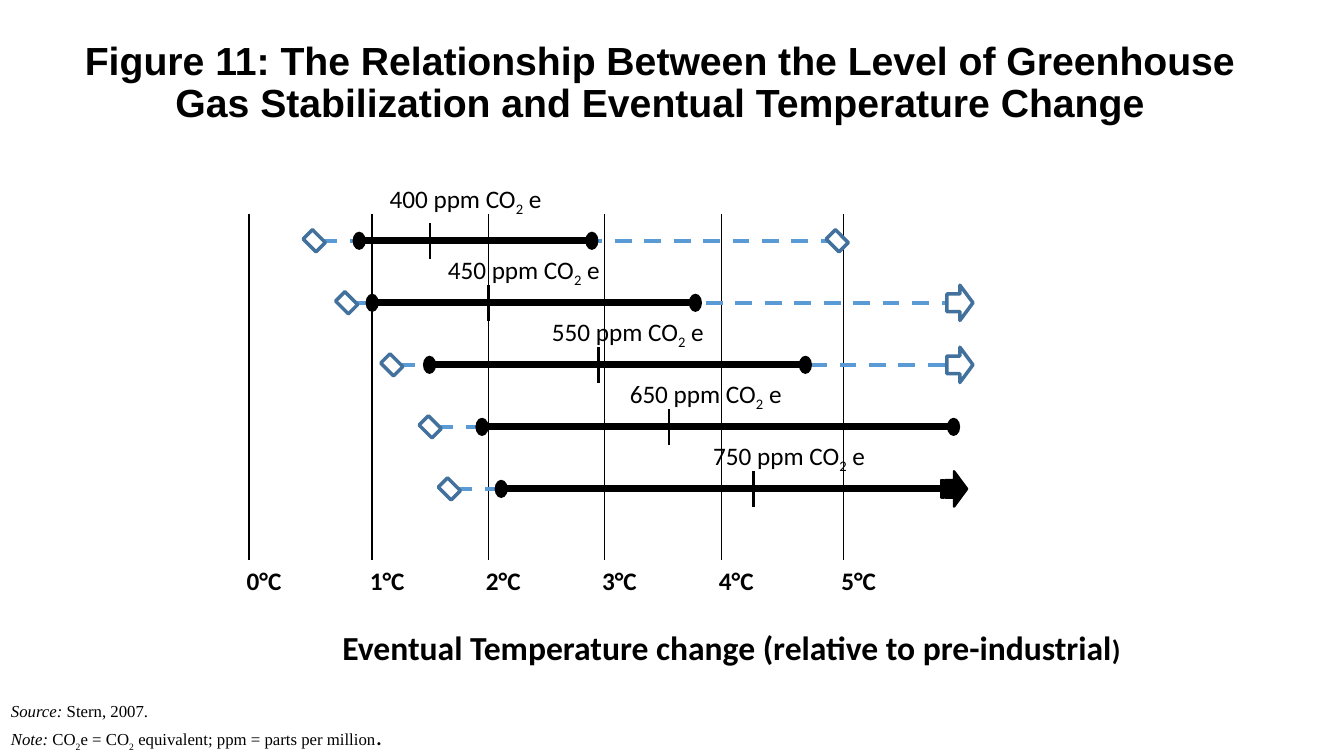
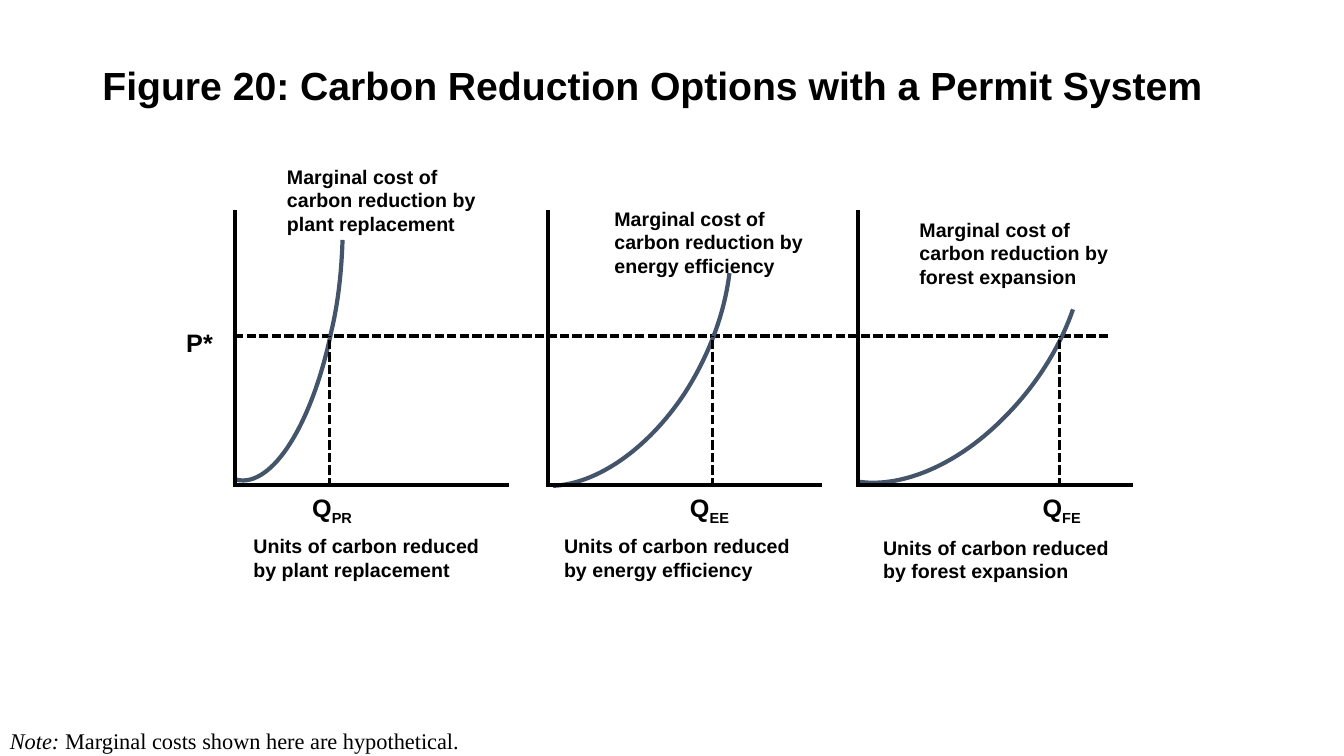
from typing import NamedTuple

from lxml.etree import SubElement
from pptx import Presentation
from pptx.dml.color import RGBColor
from pptx.enum.dml import MSO_LINE
from pptx.enum.shapes import MSO_CONNECTOR, MSO_SHAPE
from pptx.enum.text import MSO_ANCHOR, MSO_AUTO_SIZE, PP_ALIGN
from pptx.oxml.ns import qn
from pptx.util import Pt

# Shared style
BLACK = RGBColor(0x00, 0x00, 0x00)
WHITE = RGBColor(0xFF, 0xFF, 0xFF)
RANGE_BLUE = RGBColor(0x5B, 0x9B, 0xD5)
MARKER_BLUE = RGBColor(0x41, 0x71, 0x9C)
CURVE_BLUE = RGBColor(0x44, 0x54, 0x6A)
SANS, BODY, SERIF = "Arial", "Calibri", "Times New Roman"
ITALIC, SUB = {"italic": True}, {"sub": True}


# Temperature ranges, x positions in points
class Level(NamedTuple):
    ppm: int
    label_x: float
    diamond: float
    start: float
    middle: float
    end: float
    outer: float
    marker: str


LEVELS = [
    Level(400, 271.4, 224.6, 256.7, 307.4, 423, 598.3, "diamond"),
    Level(450, 313, 247.7, 266, 349.2, 497, 686, "arrow"),
    Level(550, 387.4, 280, 307, 427.7, 575.6, 686, "arrow"),
    Level(650, 443, 307.4, 344.5, 478, 681.5, 677, "dot"),
    Level(750, 502.6, 321.1, 358.2, 538.6, 677, 677, "solid arrow"),
]
DEGREE_XS = [178, 266, 349, 432, 515.5, 603]
ROW_TOP, ROW_STEP = 172, 44.3


# Permit system panels, positions in points
class Panel(NamedTuple):
    option: str
    code: str
    axis_x: float
    quantity_x: float
    cost_at: tuple
    units_at: tuple
    code_x: float
    curve: list


PANELS = [
    Panel("plant replacement", "PR", 168, 235.4, (198, 114), (174, 378), 216,
          [(244.8, 171.4), (244.1, 193), (241.9, 215.3), (236.9, 236.2),
           (223.2, 303.1), (194.4, 348.5), (169.2, 342.7)]),
    Panel("energy efficiency", "EE", 391.7, 509, (432, 144), (396, 378), 486,
          [(521.3, 195.1), (517.7, 224.6), (506.2, 254.9), (488.9, 281.5),
           (463, 320.4), (427, 345.6), (395.3, 347)]),
    Panel("forest expansion", "FE", 613.4, 757.4, (650, 152), (624, 379), 738,
          [(766.8, 221), (757.4, 248.4), (740.2, 275.8), (717.8, 298.1),
           (685.4, 331.2), (645.8, 348.5), (614.2, 344.2)]),
]
AXIS_TOP, AXIS_BASE, AXIS_LENGTH, PRICE_Y = 150, 346.5, 196, 240


# Text
def add_runs(p, runs, size, font, bold=False):
    for text, style in runs:
        r = p.add_run()
        r.text = text
        f = r.font
        f.name = style.get("font", font)
        f.size = Pt(style.get("size", size))
        f.bold = bold
        f.italic = style.get("italic", False)
        f.color.rgb = BLACK
        if style.get("sub"):
            r._r.get_or_add_rPr().set("baseline", "-25000")


def add_text(slide, x, y, w, h, paragraphs, size, font, bold=False):
    tf = slide.shapes.add_textbox(Pt(x), Pt(y), Pt(w), Pt(h)).text_frame
    tf.word_wrap = True
    for i, runs in enumerate(paragraphs):
        p = tf.paragraphs[0] if i == 0 else tf.add_paragraph()
        add_runs(p, runs, size, font, bold)


def add_titled_slide(prs, title, x, y, w, h, align):
    slide = prs.slides.add_slide(prs.slide_layouts[5])
    sp = slide.shapes.title
    sp.left, sp.top, sp.width, sp.height = Pt(x), Pt(y), Pt(w), Pt(h)
    tf = sp.text_frame
    tf.auto_size = MSO_AUTO_SIZE.NONE
    tf.vertical_anchor = MSO_ANCHOR.MIDDLE
    p = tf.paragraphs[0]
    p.alignment = align
    p.line_spacing = 0.9
    add_runs(p, [(title, {})], 28, SANS, True)
    return slide


# Lines and shapes
def add_line(slide, x1, y1, x2, y2, width, color=BLACK, dash=None):
    line = slide.shapes.add_connector(
        MSO_CONNECTOR.STRAIGHT, Pt(x1), Pt(y1), Pt(x2), Pt(y2))
    line.line.color.rgb = color
    line.line.width = Pt(width)
    if dash:
        line.line.dash_style = dash
    SubElement(line.element.spPr, qn("a:effectLst"))


def add_marker(slide, kind, cx, cy, w, h, fill, line=None, width=2.5):
    sp = slide.shapes.add_shape(
        kind, Pt(cx - w / 2), Pt(cy - h / 2), Pt(w), Pt(h))
    sp.shadow.inherit = False
    sp.fill.solid()
    sp.fill.fore_color.rgb = fill
    if line is None:
        sp.line.fill.background()
    else:
        sp.line.color.rgb = line
        sp.line.width = Pt(width)
    return sp


def add_diamond(slide, cx, cy):
    sp = add_marker(slide, MSO_SHAPE.RECTANGLE, cx, cy, 13, 9.4,
                    WHITE, MARKER_BLUE)
    sp.rotation = 45


def add_dot(slide, cx, cy):
    add_marker(slide, MSO_SHAPE.OVAL, cx, cy, 9.4, 13, BLACK)


def add_curve(slide, points):
    """Draw cubic curves: a start point, then three points per segment."""
    points = [(Pt(x), Pt(y)) for x, y in points]
    builder = slide.shapes.build_freeform(*points[0])
    builder.add_line_segments(points[1:], close=False)
    sp = builder.convert_to_shape()
    sp.shadow.inherit = False
    sp.fill.background()
    sp.line.color.rgb = CURVE_BLUE
    sp.line.width = Pt(3)
    outline = sp.element.xpath(".//a:path")[0]
    segments = outline.findall(qn("a:lnTo"))
    for i in range(0, len(segments), 3):
        cubic = SubElement(outline, qn("a:cubicBezTo"))
        for segment in segments[i:i + 3]:
            cubic.append(segment[0])
            outline.remove(segment)


# Figure 11
def add_level(slide, level, y, label_y):
    add_line(slide, level.diamond + 4.5, y, level.outer, y, 3,
             RANGE_BLUE, MSO_LINE.DASH)
    add_diamond(slide, level.diamond, y)
    if level.marker == "diamond":
        add_diamond(slide, level.outer, y)
    elif level.marker == "arrow":
        add_marker(slide, MSO_SHAPE.RIGHT_ARROW, level.outer, y, 18.7, 25.2,
                   WHITE, MARKER_BLUE)
    add_line(slide, level.start, y, level.end, y, 5)
    add_dot(slide, level.start, y)
    if level.marker == "solid arrow":
        add_marker(slide, MSO_SHAPE.STRIPED_RIGHT_ARROW, level.end + 4.8, y,
                   18.7, 25.2, BLACK, BLACK, 1.75)
    else:
        add_dot(slide, level.end, y)
    add_line(slide, level.middle, y - 12.7, level.middle, y + 12.7, 1.75)
    add_text(slide, level.label_x, label_y, 130, 32,
             [[(f"{level.ppm} ppm CO", {}), ("2", SUB), (" e", {})]],
             18, BODY)


def build_temperature_slide(prs):
    slide = add_titled_slide(
        prs, "Figure 11: The Relationship Between the Level of Greenhouse "
        "Gas Stabilization and Eventual Temperature Change",
        40.3, 25, 862.6, 70, PP_ALIGN.CENTER)
    for degree, x in enumerate(DEGREE_XS):
        add_line(slide, x, 152.6, x, 400.3, 1)
        add_text(slide, x - 8.8, 400.3, 46, 29,
                 [[(f"{degree}°C", {})]], 18, BODY, True)
    for i, level in enumerate(LEVELS):
        y = ROW_TOP + i * ROW_STEP
        add_level(slide, level, y, y - (38.2 if i else 44.6))
    add_text(slide, 237.6, 444.2, 580, 36,
             [[("Eventual Temperature change (relative to pre-industrial", {}),
               (")", {"size": 20})]], 24, BODY, True)
    add_text(slide, 0.7, 496.8, 650, 43, [
        [("Source: ", ITALIC), ("Stern, 2007.", {})],
        [("Note: ", ITALIC), ("CO", {}), ("2", SUB), ("e = CO", {}),
         ("2", SUB), (" equivalent; ppm = parts per million", {}),
         (".", {"size": 18, "font": BODY})],
    ], 12, SERIF)


# Figure 20
def add_panel(slide, panel):
    x, q = panel.axis_x, panel.quantity_x
    add_curve(slide, panel.curve)
    add_line(slide, x, AXIS_TOP, x, AXIS_BASE + 1.5, 3)
    add_line(slide, x - 1.5, AXIS_BASE, x + AXIS_LENGTH, AXIS_BASE, 3)
    add_line(slide, q, AXIS_BASE + 1.5, q, PRICE_Y, 2.25,
             dash=MSO_LINE.SQUARE_DOT)
    add_text(slide, *panel.cost_at, 168, 58,
             [[(f"Marginal cost of carbon reduction by {panel.option}", {})]],
             14, SANS, True)
    add_text(slide, *panel.units_at, 192, 41,
             [[(f"Units of carbon reduced by {panel.option}", {})]],
             14, SANS, True)
    add_text(slide, panel.code_x, 348, 48, 32,
             [[("Q", {}), (panel.code, SUB)]], 18, SANS, True)


def build_permit_slide(prs):
    slide = add_titled_slide(
        prs, "Figure 20: Carbon Reduction Options with a Permit System",
        66, 28.8, 828, 68.5, PP_ALIGN.LEFT)
    add_line(slide, 792, PRICE_Y, 168, PRICE_Y, 2.25,
             dash=MSO_LINE.SQUARE_DOT)
    for panel in PANELS:
        add_panel(slide, panel)
    add_text(slide, 126, 230.4, 48, 29, [[("P*", {})]], 18, SANS, True)
    add_text(slide, 0, 515.5, 360, 24.5,
             [[("Note: ", ITALIC),
               ("Marginal costs shown here are hypothetical.", {})]],
             16, SERIF)


def main():
    prs = Presentation()
    prs.slide_width, prs.slide_height = Pt(960.5), Pt(540)
    build_temperature_slide(prs)
    build_permit_slide(prs)
    prs.save("out.pptx")


if __name__ == "__main__":
    main()
